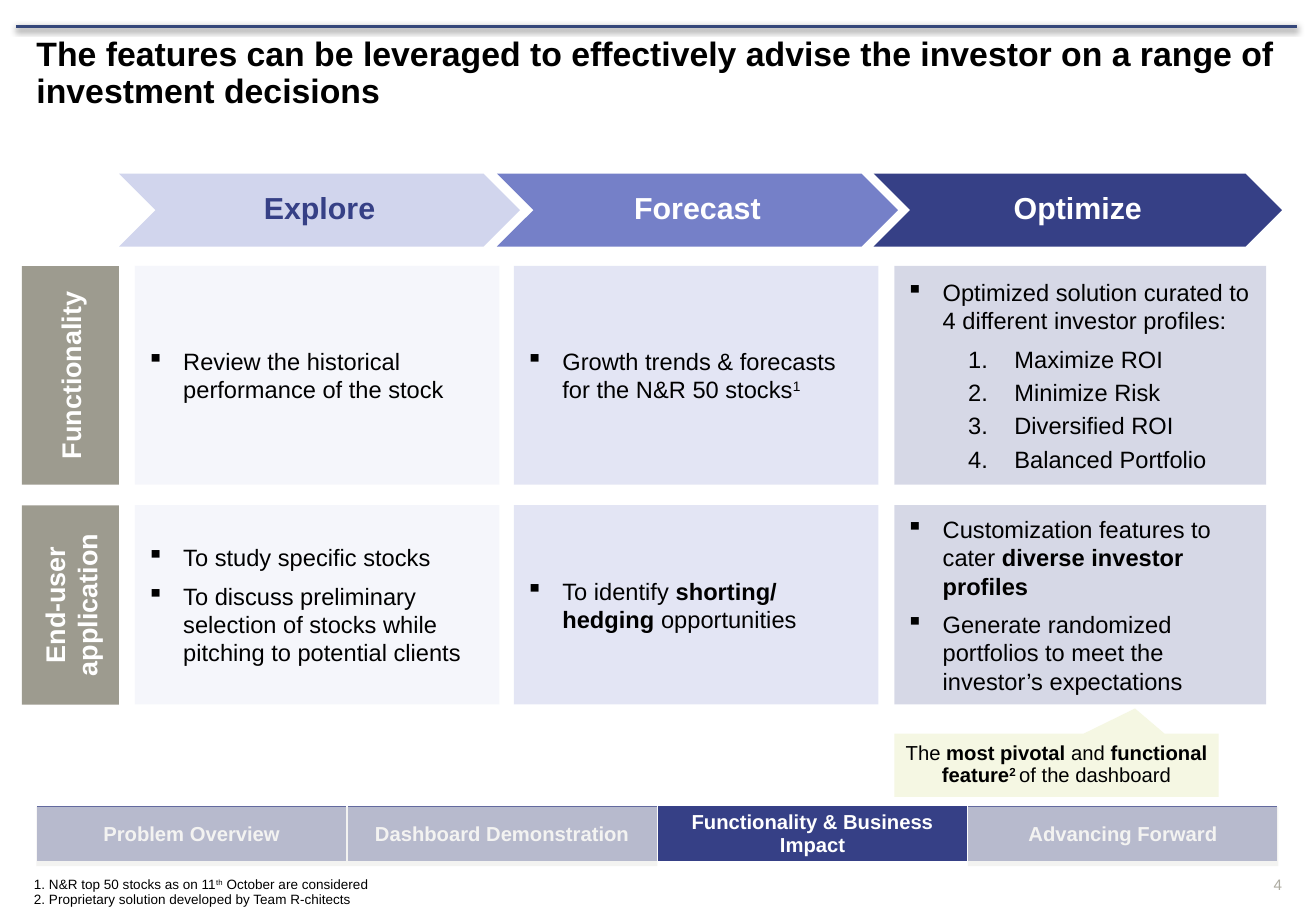
"""Build the slide on dashboard features along the explore, forecast and optimize steps."""
from dataclasses import dataclass

from pptx import Presentation
from pptx.dml.color import RGBColor
from pptx.enum import shapes, text
from pptx.oxml import parse_xml
from pptx.oxml.ns import nsdecls, qn
from pptx.util import Inches, Pt


@dataclass(frozen=True)
class Theme:
    """Colours, font and type sizes."""
    font: str = "Arial"
    black: str = "000000"
    white: str = "FFFFFF"
    navy: str = "364086"
    blue: str = "7580C8"
    pale: str = "D1D5ED"
    rule: str = "35477A"
    stone: str = "858274"
    veil: str = "EFEEEC"
    cream: str = "F5F7E3"
    grey: str = "ADABA1"
    title: int = 20
    step: int = 18
    label: int = 16
    body: int = 14
    small: int = 12
    number: int = 9
    note: int = 8


THEME = Theme()
TITLE = ("The features can be leveraged to effectively advise the investor "
         "on a range of investment decisions")
PAGE_NUMBER = "4"
STEPS = [
    ("Explore", THEME.pale, THEME.navy, (0.98, 3.3), (1.11, 3)),
    ("Forecast", THEME.blue, THEME.white, (4.09, 3.3), (4.23, 3)),
    ("Optimize", THEME.navy, THEME.white, (7.19, 3.36), (7.36, 3.06)),
]
ROWS = [
    ("Functionality", 2.19, 1.8, [
        [("bullet", ["Review the historical performance of the stock"])],
        [("bullet", ["Growth trends & forecasts for the N&R 50 stocks", ("1", "sup")])],
        [("bullet", ["Optimized solution curated to 4 different investor profiles:"]),
         ("number", ["Maximize ROI"]),
         ("number", ["Minimize Risk"]),
         ("number", ["Diversified ROI"]),
         ("number", ["Balanced Portfolio"])],
    ]),
    ("End-user application", 4.16, 1.64, [
        [("bullet", ["To study specific stocks"]),
         ("bullet", ["To discuss preliminary selection of stocks while "
                     "pitching to potential clients"])],
        [("bullet", ["To identify ", ("shorting/ hedging ", "bold"), "opportunities"])],
        [("bullet", ["Customization features to cater ",
                     ("diverse investor profiles", "bold")]),
         ("bullet", ["Generate randomized portfolios to meet the "
                     "investor’s expectations"])],
    ]),
]
CALLOUT = ["The ", ("most pivotal ", "bold"), "and ", ("functional feature", "bold"),
           ("2 ", "bold sup"), "of the dashboard"]
SECTIONS = ["Problem Overview", "Dashboard Demonstration",
            "Functionality & Business Impact", "Advancing Forward"]
SECTION_LEFT, SECTION_WIDTH = 0.3, 2.555
VEILED = [(0, 2), (3, 1)]
NOTES = [
    ["1. N&R top 50 stocks as on 11", ("th", "sup"), " October are considered"],
    ["2. Proprietary solution developed by Team R-chitects"],
]
LIST_STYLES = {
    "bullet": (0, 0.3, -0.3, 6, '<a:buChar {} char="▪"/>'),
    "number": (1, 0.89, -0.38, 3, '<a:buAutoNum {} type="arabicPeriod"/>'),
}


def inches(*lengths):
    return [Inches(length) for length in lengths]


def write(para, spans, size, colour=THEME.black, bold=False, align=None, line=None):
    para.alignment = align
    if line:
        para.line_spacing = line
    for item in spans:
        words, style = item if isinstance(item, tuple) else (item, "")
        span = para.add_run()
        span.text = words
        span.font.name, span.font.size = THEME.font, Pt(size)
        span.font.bold = bold or "bold" in style
        span.font.color.rgb = RGBColor.from_string(colour)
        if "sup" in style:
            span.font._element.set("baseline", "30000")


def set_frame(frame, anchor, *margins):
    frame.word_wrap = True
    frame.auto_size = text.MSO_AUTO_SIZE.NONE
    frame.vertical_anchor = anchor
    frame.margin_left, frame.margin_top = inches(*margins)
    frame.margin_right, frame.margin_bottom = inches(*margins)
    return frame


def add_box(page, kind, place, colour, opacity=100, margins=(0.08, 0.08)):
    box = page.shapes.add_shape(kind, *inches(*place))
    box.shadow.inherit = False
    box.line.fill.background()
    box.fill.solid()
    box.fill.fore_color.rgb = RGBColor.from_string(colour)
    if opacity < 100:
        shade = box._element.spPr.find(f".//{qn('a:srgbClr')}")
        shade.append(parse_xml(f'<a:alpha {nsdecls("a")} val="{opacity * 1000}"/>'))
    set_frame(box.text_frame, text.MSO_ANCHOR.MIDDLE, *margins)
    return box


def add_list(frame, items):
    for index, (kind, spans) in enumerate(items):
        para = frame.add_paragraph() if index else frame.paragraphs[0]
        level, margin, indent, after, mark = LIST_STYLES[kind]
        write(para, spans, THEME.body, align=text.PP_ALIGN.LEFT)
        para.level, para.space_after = level, Pt(after)
        properties = para._p.get_or_add_pPr()
        properties.set("marL", str(Inches(margin)))
        properties.set("indent", str(Inches(indent)))
        properties.append(parse_xml(mark.format(nsdecls("a"))))


def add_heading(page):
    rule = page.shapes.add_connector(shapes.MSO_CONNECTOR.STRAIGHT,
                                     *inches(0.13, 0.22, 10.67, 0.22))
    rule.line.color.rgb = RGBColor.from_string(THEME.rule)
    rule.line.width = Pt(1.75)
    rule._element.spPr.append(parse_xml(
        f'<a:effectLst {nsdecls("a")}><a:outerShdw blurRad="{Pt(4)}" dist="{Pt(1)}" '
        'dir="5280000" rotWithShape="0"><a:srgbClr val="000000">'
        '<a:alpha val="40000"/></a:srgbClr></a:outerShdw></a:effectLst>'))
    title = page.shapes.title
    title.left, title.top, title.width, title.height = inches(0.3, 0.31, 10.22, 0.4)
    frame = set_frame(title.text_frame, text.MSO_ANCHOR.TOP, 0, 0)
    write(frame.paragraphs[0], [TITLE], THEME.title, bold=True,
          align=text.PP_ALIGN.LEFT, line=0.9)


def add_sections(page):
    table = page.shapes.add_table(
        1, len(SECTIONS),
        *inches(SECTION_LEFT, 6.63, SECTION_WIDTH * len(SECTIONS), 0.42)).table
    for cell, name in zip(table.rows[0].cells, SECTIONS):
        cell.vertical_anchor = text.MSO_ANCHOR.MIDDLE
        write(cell.text_frame.paragraphs[0], [name], THEME.small, THEME.white, True,
              text.PP_ALIGN.CENTER)
        properties = cell._tc.get_or_add_tcPr()
        for side, width in (("L", 1), ("R", 1), ("T", 1), ("B", 3)):
            properties.append(parse_xml(
                f'<a:ln{side} {nsdecls("a")} w="{Pt(width)}"><a:solidFill>'
                f'<a:srgbClr val="{THEME.white}"/></a:solidFill></a:ln{side}>'))
        cell.fill.solid()
        cell.fill.fore_color.rgb = RGBColor.from_string(THEME.navy)
    for first, count in VEILED:
        place = (SECTION_LEFT + first * SECTION_WIDTH, 6.64, count * SECTION_WIDTH, 0.49)
        add_box(page, shapes.MSO_SHAPE.RECTANGLE, place, THEME.veil, 70)


def add_matrix(page):
    center = text.PP_ALIGN.CENTER
    for name, fill, ink, (left, width), _ in STEPS:
        box = add_box(page, shapes.MSO_SHAPE.CHEVRON, (left, 1.43, width, 0.6), fill)
        write(box.text_frame.paragraphs[0], [name], THEME.step, ink, True, center, 0.9)
    for label, top, height, cells in ROWS:
        for (_, fill, _, _, (left, width)), items in zip(STEPS, cells):
            box = add_box(page, shapes.MSO_SHAPE.RECTANGLE, (left, top, width, height),
                          fill, 20, (0.1, 0.04))
            add_list(box.text_frame, items)
        place = (0.58 - height / 2, top + height / 2 - 0.4, height, 0.8)
        box = add_box(page, shapes.MSO_SHAPE.RECTANGLE, place, THEME.stone, 80, (0.1, 0.04))
        box.rotation = 270
        para = box.text_frame.paragraphs[0]
        write(para, [label], THEME.label, THEME.white, True, center)
        para.space_after = Pt(6)


def add_remarks(page):
    callout = add_box(page, shapes.MSO_SHAPE.RECTANGULAR_CALLOUT,
                      (7.36, 6.04, 2.67, 0.52), THEME.cream)
    callout.adjustments[0], callout.adjustments[1] = 0.242, -0.899
    write(callout.text_frame.paragraphs[0], CALLOUT, THEME.small,
          align=text.PP_ALIGN.CENTER, line=0.9)
    notes = page.shapes.add_textbox(*inches(0.28, 7.07, 7, 0.4))
    frame = set_frame(notes.text_frame, text.MSO_ANCHOR.BOTTOM, 0, 0)
    for index, spans in enumerate(NOTES):
        para = frame.add_paragraph() if index else frame.paragraphs[0]
        write(para, spans, THEME.note, line=0.9)
    number = page.shapes.add_textbox(*inches(10.24, 7.21, 0.31, 0.15))
    frame = set_frame(number.text_frame, text.MSO_ANCHOR.BOTTOM, 0, 0)
    write(frame.paragraphs[0], [PAGE_NUMBER], THEME.number, THEME.grey,
          align=text.PP_ALIGN.RIGHT)


def main():
    deck = Presentation()
    deck.slide_width, deck.slide_height = inches(10.83, 7.5)
    page = deck.slides.add_slide(deck.slide_layouts[5])
    for build in (add_heading, add_sections, add_matrix, add_remarks):
        build(page)
    deck.save("out.pptx")


if __name__ == "__main__":
    main()
